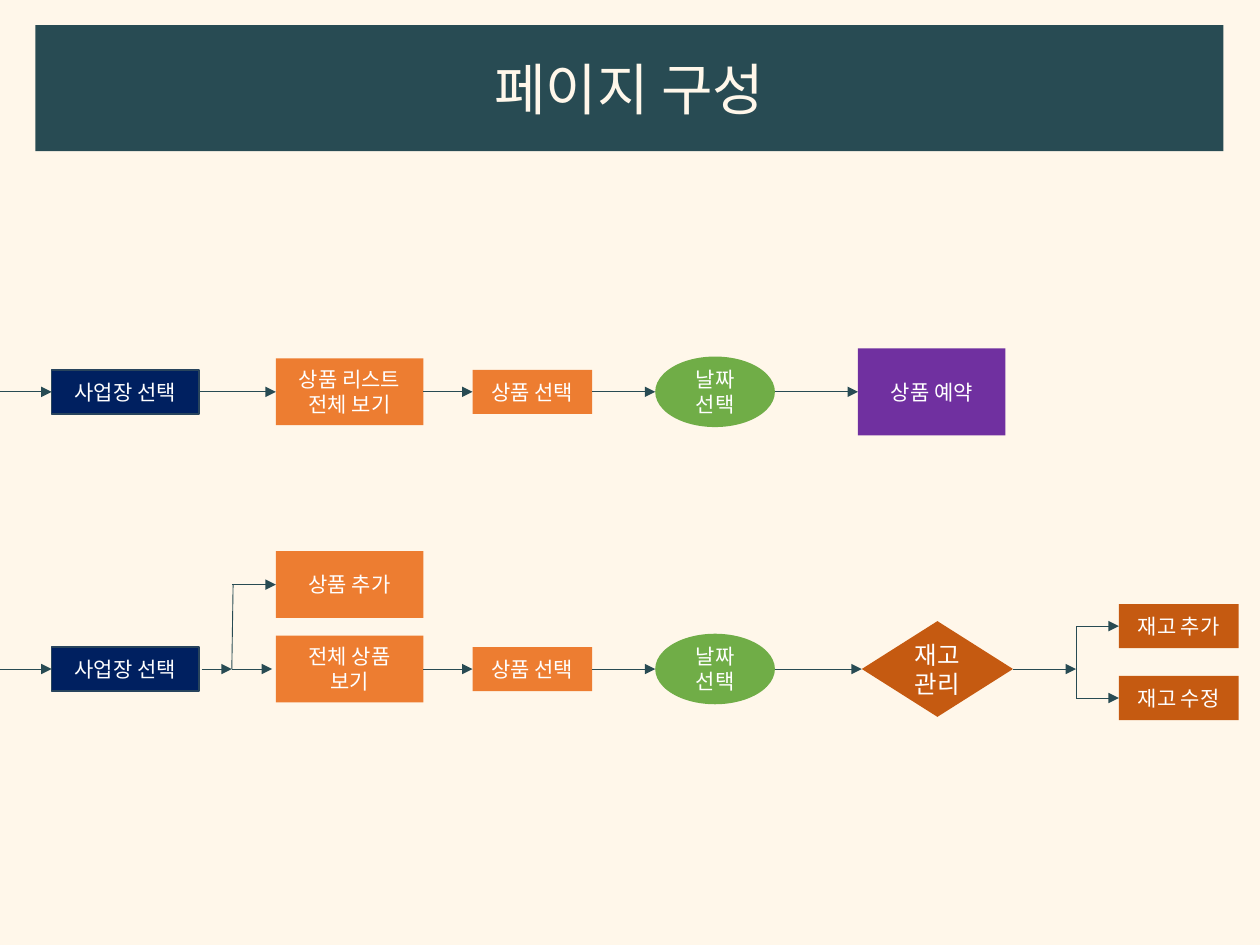
import pptx
import pptx.util
import pptx.dml.color
import pptx.enum.shapes
import pptx.enum.text
import pptx.oxml
import pptx.oxml.ns
from dataclasses import dataclass

Inches = pptx.util.Inches
Pt = pptx.util.Pt
Kind = pptx.enum.shapes.MSO_SHAPE


@dataclass(frozen=True)
class Theme:
    cream: str = "FFF7EA"
    teal: str = "284B53"
    navy: str = "002060"
    edge: str = "28445D"
    orange: str = "ED7D31"
    rust: str = "C55A11"
    green: str = "70AD47"
    purple: str = "7030A0"
    white: str = "FFFFFF"
    head: int = 32
    large: int = 14
    body: int = 12


theme = Theme()
color = pptx.dml.color.RGBColor.from_string


def write(shape, text, size=theme.body, font="Calibri", ink=theme.white):
    frame = shape.text_frame
    frame.text = text
    frame.word_wrap = True
    frame.vertical_anchor = pptx.enum.text.MSO_ANCHOR.MIDDLE
    para = frame.paragraphs[0]
    para.alignment = pptx.enum.text.PP_ALIGN.CENTER
    para.line_spacing = 1.0
    para.font.size = Pt(size)
    para.font.name = font
    para.font.color.rgb = color(ink)


def join(x1, y1, x2, y2, arrow=True):
    line = slide.shapes.add_connector(
        pptx.enum.shapes.MSO_CONNECTOR.STRAIGHT,
        Inches(x1), Inches(y1), Inches(x2), Inches(y2))
    line.line.color.rgb = color(theme.teal)
    line.line.width = Pt(0.5)
    if arrow:
        tip = pptx.oxml.parse_xml(f'<a:tailEnd {pptx.oxml.ns.nsdecls("a")} type="triangle"/>')
        line.line._get_or_add_ln().append(tip)
    line.element.spPr.append(
        pptx.oxml.parse_xml(f'<a:effectLst {pptx.oxml.ns.nsdecls("a")}/>'))


deck = pptx.Presentation()
deck.slide_width, deck.slide_height = Inches(10), Inches(7.5)
slide = deck.slides.add_slide(deck.slide_layouts[5])
slide.background.fill.solid()
slide.background.fill.fore_color.rgb = color(theme.cream)

title = slide.shapes.title
title.left, title.top = Inches(0.28), Inches(0.2)
title.width, title.height = Inches(9.43), Inches(1)
title.element.spPr.append(pptx.oxml.parse_xml(
    f'<a:prstGeom {pptx.oxml.ns.nsdecls("a")} prst="roundRect"><a:avLst/></a:prstGeom>'))
title.fill.solid()
title.fill.fore_color.rgb = color(theme.teal)
write(title, "페이지 구성", size=theme.head, font="Arial", ink=theme.cream)

top, low, add = 3.11, 5.31, 4.64
more, edit = 4.97, 5.54
fork, split = 1.84, 8.54

small = (0.95, 0.35)
site = (0.41, 1.17, 0.35, Kind.RECTANGLE, theme.navy)
goods = (2.19, 1.17, 0.53, Kind.RECTANGLE, theme.orange)
pick = (3.75, *small, Kind.RECTANGLE, theme.orange)
date = (5.2, 0.95, 0.56, Kind.OVAL, theme.green)
book = (6.81, 1.17, 0.69, Kind.RECTANGLE, theme.purple)
stock = (6.84, 1.2, 0.76, Kind.FLOWCHART_DECISION, theme.rust)
task = (8.88, *small, Kind.RECTANGLE, theme.rust)

nodes = [
    ("사업장 선택", site, top), ("상품 리스트 전체 보기", goods, top),
    ("상품 선택", pick, top), ("날짜 선택", date, top), ("상품 예약", book, top),
    ("사업장 선택", site, low), ("상품 추가", goods, add),
    ("전체 상품 보기", goods, low), ("상품 선택", pick, low),
    ("날짜 선택", date, low), ("재고 관리", stock, low),
    ("재고 추가", task, more), ("재고 수정", task, edit),
]
for text, (left, wide, high, kind, fill), mid in nodes:
    node = slide.shapes.add_shape(
        kind, Inches(left), Inches(mid - high / 2), Inches(wide), Inches(high))
    node.shadow.inherit = False
    node.fill.solid()
    node.fill.fore_color.rgb = color(fill)
    if fill == theme.navy:
        node.line.color.rgb = color(theme.edge)
        node.line.width = Pt(1)
    else:
        node.line.fill.background()
    write(node, text, size=theme.large if kind == Kind.FLOWCHART_DECISION else theme.body)

for mid, chain in ((top, (site, goods, pick, date, book)),
                   (low, (goods, pick, date, stock))):
    for start, end in zip(chain, chain[1:]):
        join(start[0] + start[1], mid, end[0], mid)
    join(0, mid, site[0], mid)

join(1.6, low, fork, low)
join(fork, low, 2.16, low)
join(1.85, add, fork, low, arrow=False)
join(fork, add, goods[0], add)
join(stock[0] + stock[1], low, split, low)
join(split, more, split, edit, arrow=False)
for mid in (more, edit):
    join(split, mid, task[0], mid)

deck.save("out.pptx")
